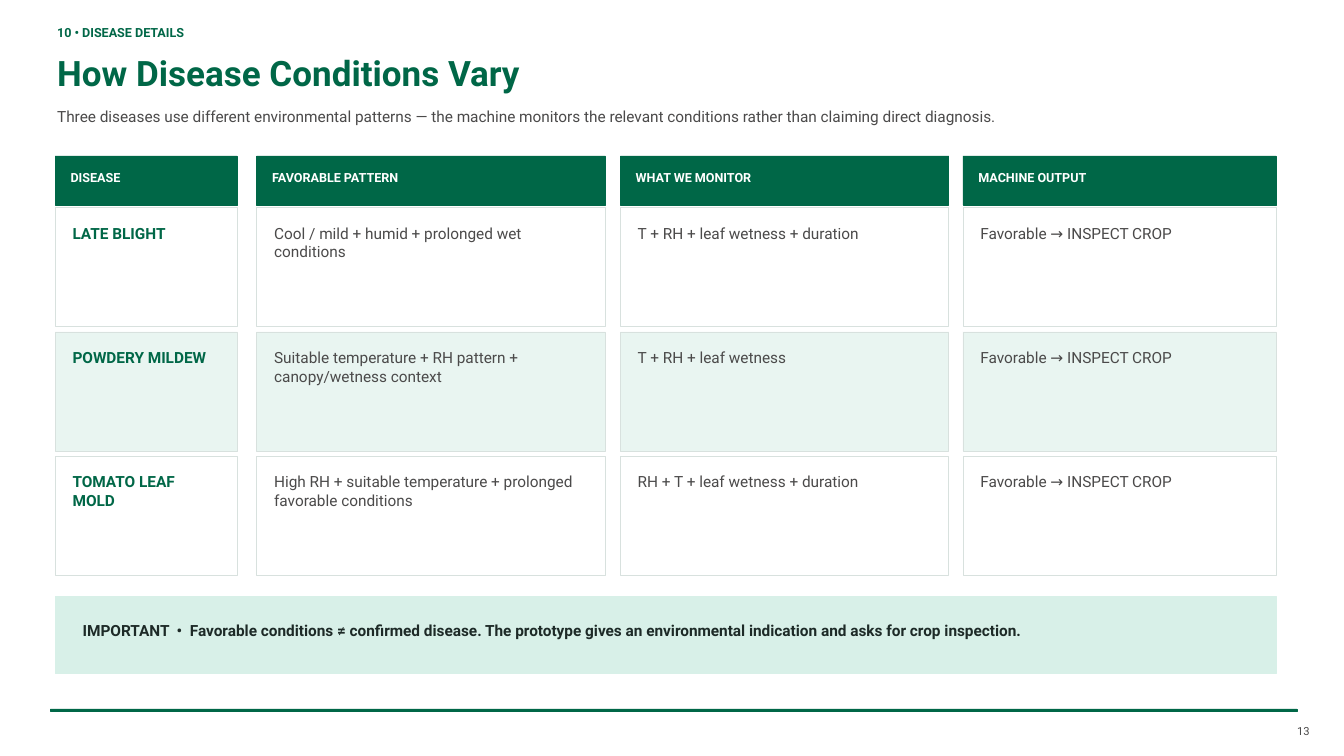
from pptx import Presentation
from pptx.dml.color import RGBColor
from pptx.enum.shapes import MSO_SHAPE as Shape
from pptx.enum.text import MSO_ANCHOR as Anchor, MSO_AUTO_SIZE as AutoSize, PP_ALIGN as Align
from pptx.util import Inches, Pt

GREEN = RGBColor(0x00, 0x67, 0x47)
GRAY = RGBColor(0x4B, 0x4A, 0x4A)
INK = RGBColor(0x1D, 0x2A, 0x27)
WHITE = RGBColor(0xFF, 0xFF, 0xFF)
STRIPE = RGBColor(0xE9, 0xF5, 0xF1)
MINT = RGBColor(0xD8, 0xF0, 0xE8)
BORDER = RGBColor(0xD8, 0xE1, 0xDE)

# Column left edges and widths
COLUMNS = [(0.82, 2.71), (3.82, 5.19), (9.23, 4.89), (14.33, 4.66)]
HEADINGS = ["DISEASE", "FAVORABLE PATTERN", "WHAT WE MONITOR", "MACHINE OUTPUT"]
DISEASES = [
    ("LATE BLIGHT", "Cool / mild + humid + prolonged wet conditions",
     "T + RH + leaf wetness + duration", "Favorable → INSPECT CROP"),
    ("POWDERY MILDEW", "Suitable temperature + RH pattern + canopy/wetness context",
     "T + RH + leaf wetness", "Favorable → INSPECT CROP"),
    ("TOMATO LEAF MOLD", "High RH + suitable temperature + prolonged favorable conditions",
     "RH + T + leaf wetness + duration", "Favorable → INSPECT CROP"),
]
HEADER_TOP, HEADER_HEIGHT = 2.32, 0.73
ROWS_TOP, ROW_HEIGHT, ROW_GAP = 3.09, 1.77, 0.08


class Deck:
    """Holds the text style and the slide being built."""

    font = "Roboto"

    def __init__(self, slide):
        self.slide = slide

    def set_text(self, shape, text, size, color, bold=False, align=Align.LEFT):
        frame = shape.text_frame
        frame.margin_left = frame.margin_right = frame.margin_top = frame.margin_bottom = 0
        frame.word_wrap = True
        frame.auto_size = AutoSize.SHAPE_TO_FIT_TEXT
        frame.vertical_anchor = Anchor.TOP
        paragraph = frame.paragraphs[0]
        paragraph.alignment = align
        paragraph.line_spacing = Pt(size * 1.2)
        paragraph.space_before = Pt(0)
        run = paragraph.add_run()
        run.text = text
        run.font.name = self.font
        run.font.size = Pt(size)
        run.font.bold = bold
        run.font.color.rgb = color

    def title(self, left, top, width, height, text, **style):
        title = self.slide.shapes.title
        title.left, title.top = Inches(left), Inches(top)
        title.width, title.height = Inches(width), Inches(height)
        self.set_text(title, text, **style)

    def label(self, left, top, width, height, text, **style):
        box = self.slide.shapes.add_textbox(
            Inches(left), Inches(top), Inches(width), Inches(height))
        self.set_text(box, text, **style)

    def panel(self, left, top, width, height, fill, line):
        panel = self.slide.shapes.add_shape(
            Shape.RECTANGLE, Inches(left), Inches(top), Inches(width), Inches(height))
        panel.shadow.inherit = False
        panel.fill.solid()
        panel.fill.fore_color.rgb = fill
        panel.line.color.rgb = line
        panel.line.width = Pt(0.75)

    def cell(self, left, top, width, height, text, fill, line, pad_x, pad_y, **style):
        self.panel(left, top, width, height, fill, line)
        self.label(left + pad_x, top + pad_y, width - 2 * pad_x, height - 2 * pad_y,
                   text, **style)


def main():
    presentation = Presentation()
    presentation.slide_width, presentation.slide_height = Inches(20), Inches(11.25)
    deck = Deck(presentation.slides.add_slide(presentation.slide_layouts[5]))

    # Heading
    deck.label(0.85, 0.37, 8.06, 0.29, "10 • DISEASE DETAILS",
               size=13.5, color=GREEN, bold=True)
    deck.title(0.85, 0.77, 17.81, 0.73, "How Disease Conditions Vary",
               size=37.5, color=GREEN, bold=True)
    deck.label(0.85, 1.6, 18.11, 0.53,
               "Three diseases use different environmental patterns — the machine monitors "
               "the relevant conditions rather than claiming direct diagnosis.",
               size=16.5, color=GRAY)

    # Column headings
    for (left, width), heading in zip(COLUMNS, HEADINGS):
        deck.cell(left, HEADER_TOP, width, HEADER_HEIGHT, heading, GREEN, GREEN,
                  pad_x=0.23, pad_y=0.21, size=13.5, color=WHITE, bold=True)

    # One row of cards per disease
    for row, disease in enumerate(DISEASES):
        top = ROWS_TOP + row * (ROW_HEIGHT + ROW_GAP)
        fill = STRIPE if row % 2 else WHITE
        for column, ((left, width), text) in enumerate(zip(COLUMNS, disease)):
            is_name = column == 0
            deck.cell(left, top, width, ROW_HEIGHT, text, fill, BORDER,
                      pad_x=0.26, pad_y=0.24, size=16.5,
                      color=GREEN if is_name else GRAY, bold=is_name)

    # Important note
    deck.cell(0.82, 8.88, 18.17, 1.14,
              "IMPORTANT  •  Favorable conditions ≠ confirmed disease. The prototype gives "
              "an environmental indication and asks for crop inspection.",
              MINT, MINT, pad_x=0.41, pad_y=0.36, size=16.5, color=INK, bold=True)

    # Footer rule and page number
    deck.panel(0.75, 10.55, 18.55, 0.03, GREEN, GREEN)
    deck.label(19.24, 10.78, 0.25, 0.2, "13", size=12, color=GRAY, align=Align.RIGHT)

    presentation.save("out.pptx")


if __name__ == "__main__":
    main()
